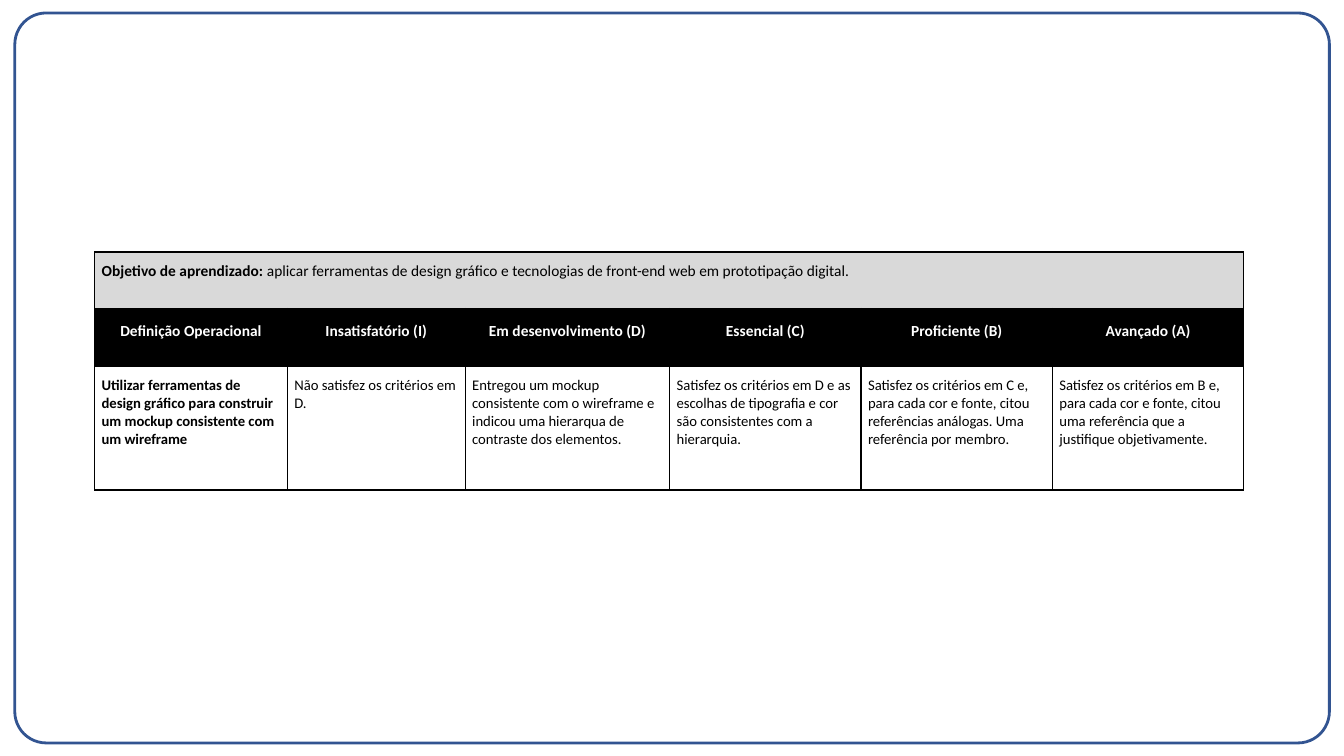
from dataclasses import dataclass

from lxml import etree
from pptx import Presentation
from pptx.dml.color import RGBColor
from pptx.enum.shapes import MSO_SHAPE
from pptx.enum.text import PP_ALIGN
from pptx.oxml.ns import qn
from pptx.table import _Cell
from pptx.util import Pt

ROUND = MSO_SHAPE.ROUNDED_RECTANGLE
LEFT, CENTER = PP_ALIGN.LEFT, PP_ALIGN.CENTER
FONT = "Calibri"
COLORS = {"frame": "325491", "black": "000000", "white": "FFFFFF", "gray": "D9D9D9"}


@dataclass(frozen=True)
class Style:
    size: float
    ink: str = "black"
    fill: str | None = None
    align: PP_ALIGN = LEFT
    space: float = 1.0


GOAL = Style(11, fill="gray")
HEAD = Style(11, "white", "black", CENTER, 1.15)
BODY = Style(10.5)


@dataclass(frozen=True)
class Level:
    title: str
    text: str
    width: float
    bold: bool = False


LEVELS = [
    Level("Definição Operacional",
          "Utilizar ferramentas de design gráfico para construir um mockup "
          "consistente com um wireframe", 137.7, True),
    Level("Insatisfatório (I)", "Não satisfez os critérios em D.", 127),
    Level("Em desenvolvimento (D)",
          "Entregou um mockup consistente com o wireframe e indicou uma "
          "hierarqua de contraste dos elementos.", 146.1),
    Level("Essencial (C)",
          "Satisfez os critérios em D e as escolhas de tipografia e cor são "
          "consistentes com a hierarquia.", 136.7),
    Level("Proficiente (B)",
          "Satisfez os critérios em C e, para cada cor e fonte, citou "
          "referências análogas. Uma referência por membro.", 136.7),
    Level("Avançado (A)",
          "Satisfez os critérios em B e, para cada cor e fonte, citou uma "
          "referência que a justifique objetivamente.", 136.7),
]
ROWS = [40.3, 41.8, 88]


def paint(name: str) -> RGBColor:
    return RGBColor.from_string(COLORS[name])


def edge(cell: _Cell) -> None:
    """Draw a thin black line on all four sides of a cell."""
    props = cell._tc.get_or_add_tcPr()
    for spot, side in enumerate(("lnL", "lnR", "lnT", "lnB")):
        line = etree.Element(qn(f"a:{side}"), w=str(Pt(1)))
        fill = etree.SubElement(line, qn("a:solidFill"))
        etree.SubElement(fill, qn("a:srgbClr"), val=COLORS["black"])
        props.insert(spot, line)


def write(cell: _Cell, runs: list[tuple[str, bool]], style: Style) -> None:
    """Fill a cell with runs of (text, bold)."""
    cell.margin_left = cell.margin_right = Pt(5)
    cell.margin_top = cell.margin_bottom = Pt(7.2)
    if style.fill:
        cell.fill.solid()
        cell.fill.fore_color.rgb = paint(style.fill)
    else:
        cell.fill.background()
    para = cell.text_frame.paragraphs[0]
    para.alignment, para.line_spacing = style.align, style.space
    para.font.name, para.font.size = FONT, Pt(style.size)
    para.font.color.rgb = paint(style.ink)
    for text, bold in runs:
        run = para.add_run()
        run.text, run.font.bold = text, bold
        # Runs in table cells need their own font to override the table style
        run.font.name, run.font.size = FONT, Pt(style.size)
        run.font.color.rgb = paint(style.ink)


# Slide
deck = Presentation()
deck.slide_width, deck.slide_height = Pt(960), Pt(540)
slide = deck.slides.add_slide(deck.slide_layouts[6])

# Frame
frame = slide.shapes.add_shape(ROUND, Pt(10.6), Pt(9.3), Pt(939), Pt(521.4))
frame.adjustments[0] = 0.043
frame.shadow.inherit = False
frame.fill.background()
frame.line.color.rgb = paint("frame")
frame.line.width = Pt(2)

# Rubric grid
width = sum(level.width for level in LEVELS)
grid = slide.shapes.add_table(len(ROWS), len(LEVELS), Pt(67.6), Pt(180),
                              Pt(width), Pt(sum(ROWS))).table
grid.first_row = grid.horz_banding = False
for row, height in zip(grid.rows, ROWS):
    row.height = Pt(height)

# Goal row
goal = grid.cell(0, 0)
goal.merge(grid.cell(0, len(LEVELS) - 1))
write(goal, [
    ("Objetivo de aprendizado: ", True),
    ("aplicar ferramentas de design gráfico e tecnologias de front-end web "
     "em prototipação digital.", False),
], GOAL)

# Levels
for col, level in enumerate(LEVELS):
    grid.columns[col].width = Pt(level.width)
    write(grid.cell(1, col), [(level.title, True)], HEAD)
    write(grid.cell(2, col), [(level.text, level.bold)], BODY)

# Borders
for cell in grid.iter_cells():
    edge(cell)

deck.save("out.pptx")
